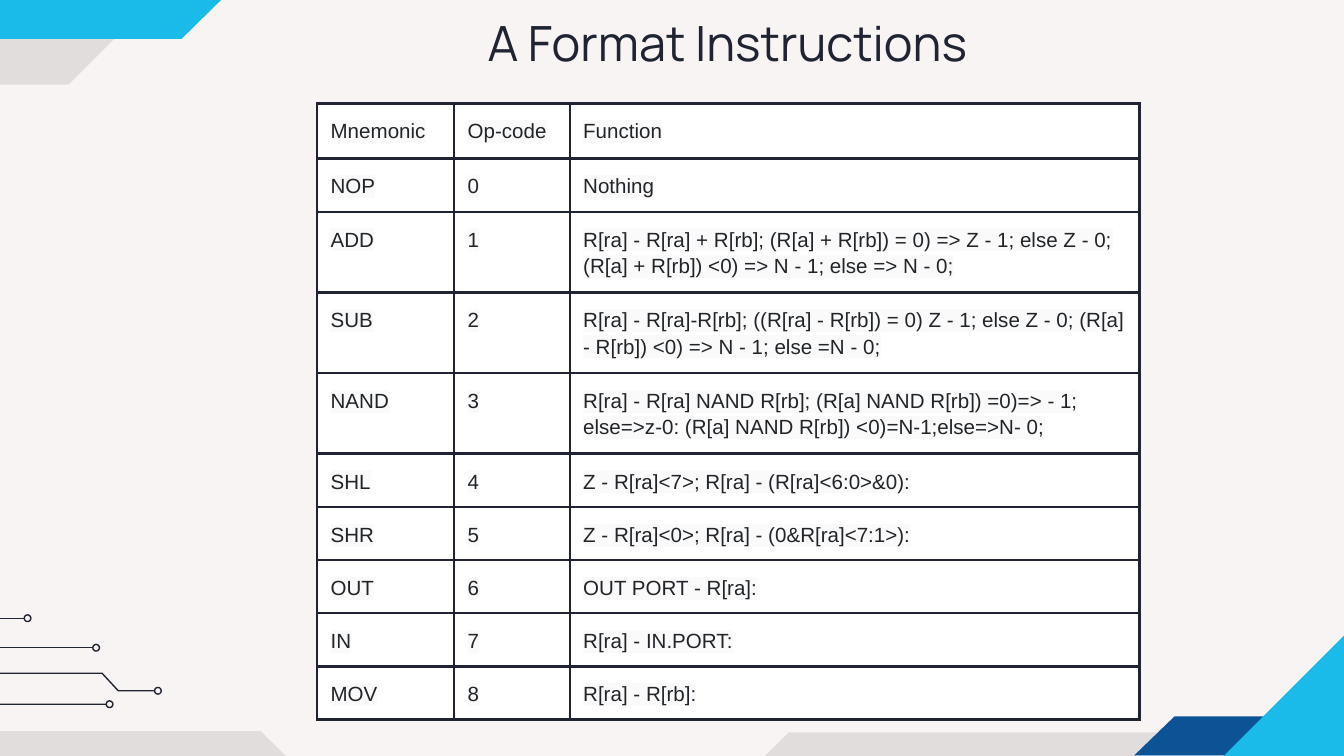
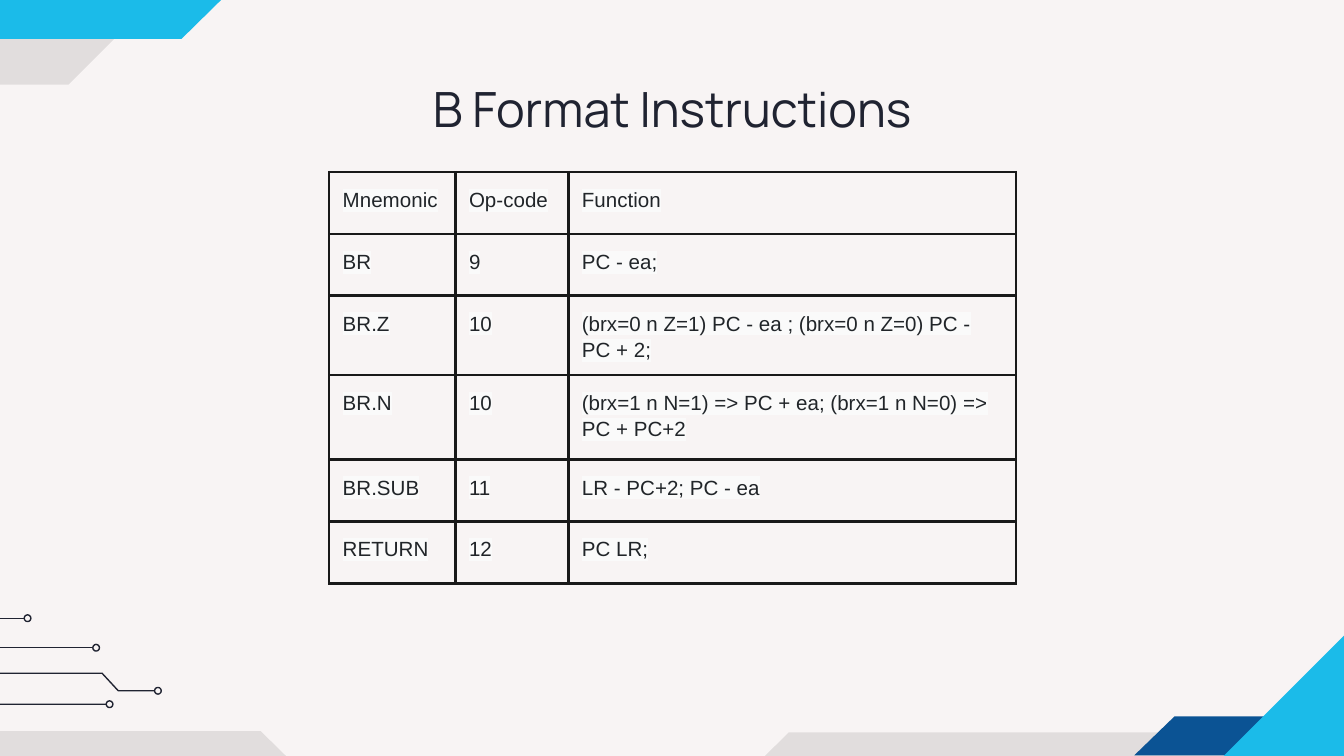
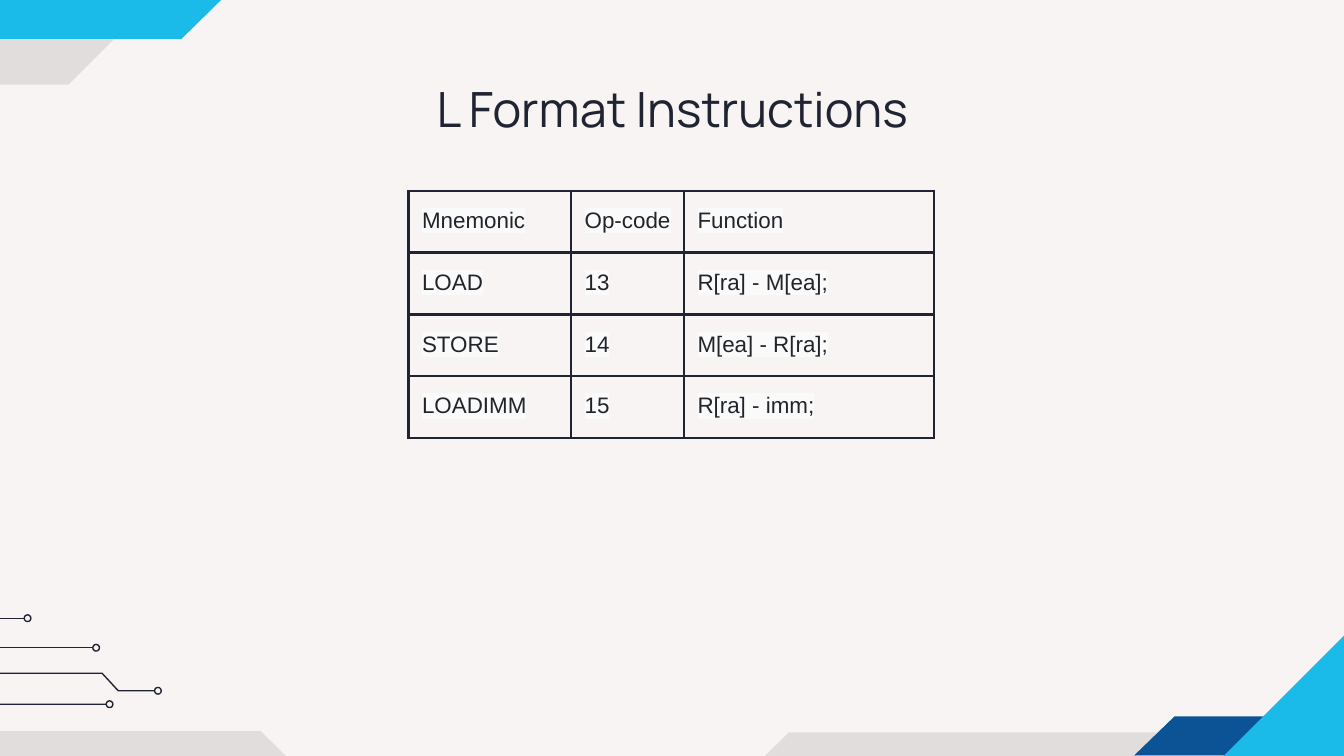
from dataclasses import dataclass
from typing import Optional

from lxml.etree import SubElement
from pptx import Presentation
from pptx.dml.color import RGBColor
from pptx.enum.shapes import MSO_CONNECTOR, MSO_SHAPE
from pptx.enum.text import MSO_ANCHOR, MSO_AUTO_SIZE, PP_ALIGN
from pptx.oxml.ns import qn
from pptx.util import Inches, Pt

# Grid: 100 columns by 56.25 rows, with square cells
SLIDE_WIDTH, SLIDE_HEIGHT = Inches(10), Inches(5.625)
COLUMN = SLIDE_WIDTH / 100
ROW = SLIDE_HEIGHT / 56.25

# Colours and fonts
PAPER = RGBColor(0xF8, 0xF4, 0xF4)
INK = RGBColor(0x20, 0x23, 0x31)
BLACK = RGBColor(0x00, 0x00, 0x00)
NEAR_BLACK = RGBColor(0x19, 0x19, 0x19)
CELL_TEXT = RGBColor(0x21, 0x25, 0x29)
HIGHLIGHT = RGBColor(0xFA, 0xFA, 0xFA)
WHITE = RGBColor(0xFF, 0xFF, 0xFF)
SKY = RGBColor(0x1B, 0xBB, 0xE9)
NAVY = RGBColor(0x0B, 0x53, 0x94)
TITLE_FONT, TABLE_FONT = "Manrope", "Arial"

Points = list[tuple[float, float]]


@dataclass(frozen=True)
class Band:
    points: Points
    color: RGBColor
    opacity: int = 100


@dataclass(frozen=True)
class InstructionPage:
    title: str
    title_left: float
    title_top: float
    table_left: float
    table_top: float
    columns: list[float]
    rows: list[float]
    instructions: list[tuple[str, str, str]]
    border: RGBColor = INK
    cell_fill: RGBColor = HIGHLIGHT
    cell_opacity: int = 0
    text_size: int = 11


# Shared decoration, in columns and rows
GREY_BANDS = [
    Band([(5.1, 6.3), (16.3, -4.9), (19.6, -4.9), (19.6, -10.6),
          (-11.1, -10.6), (-11.1, 6.3)], BLACK, 9),
    Band([(19.4, 54.4), (30.7, 65.5), (47.5, 65.5), (58.7, 54.5), (100, 54.5),
          (100, 75), (-2.3, 75), (-2.3, 54.4)], BLACK, 9),
]
COLOR_BANDS = [
    Band([(84.4, 56.2), (87.4, 53.3), (100, 53.3), (97, 56.2)], NAVY),
    Band([(-29.4, 5.9), (-29.4, -27.1), (26.5, -27.1), (26.5, -2.9), (19.4, -2.9),
          (13.5, 2.9), (-2.9, 2.9), (-6, 5.9)], SKY),
    Band([(100.9, 46.4), (89.7, 57.6), (86.4, 57.6), (86.4, 63.2),
          (117.1, 63.2), (117.1, 46.4)], SKY),
]
CIRCUIT_TRACES: list[Points] = [
    [(-25.2, 53.3), (-6.9, 53.3), (-6, 52.4), (7.9, 52.4)],
    [(-9.8, 48.2), (6.9, 48.2)],
    [(-5.1, 50.1), (7.6, 50.1), (8.8, 51.4), (11.5, 51.4)],
    [(-30.6, 46), (1.8, 46)],
]
NODE_SIZE = 0.5

TITLE_WIDTH, TITLE_HEIGHT = 84.3, 6.3
HEADINGS = ("Mnemonic", "Op-code", "Function")

PAGES = [
    InstructionPage(
        "A Format Instructions", 12, 0, 23.6, 7.7, [10.2, 8.6, 42.4],
        [4.1, 3.9] + [6] * 3 + [3.9] * 5,
        [
            ("NOP", "0", "Nothing"),
            ("ADD", "1", "R[ra] - R[ra] + R[rb]; (R[a] + R[rb]) = 0) => Z - 1; else Z - 0; "
                         "(R[a] + R[rb]) <0) => N - 1; else => N - 0;"),
            ("SUB", "2", "R[ra] - R[ra]-R[rb]; ((R[ra] - R[rb]) = 0) Z - 1; else Z - 0; "
                         "(R[a] - R[rb]) <0) => N - 1; else =N - 0;"),
            ("NAND", "3", "R[ra] - R[ra] NAND R[rb]; (R[a] NAND R[rb]) =0)=> - 1; "
                          "else=>z-0: (R[a] NAND R[rb]) <0)=N-1;else=>N- 0;"),
            ("SHL", "4", "Z - R[ra]<7>; R[ra] - (R[ra]<6:0>&0):"),
            ("SHR", "5", "Z - R[ra]<0>; R[ra] - (0&R[ra]<7:1>):"),
            ("OUT", "6", "OUT PORT - R[ra]:"),
            ("IN", "7", "R[ra] - IN.PORT:"),
            ("MOV", "8", "R[ra] - R[rb]:"),
        ],
        cell_fill=WHITE, cell_opacity=100,
    ),
    InstructionPage(
        "B Format Instructions", 7.9, 4.9, 24.5, 12.8, [9.4, 8.4, 33.3],
        [4.6] * 3 + [6.3] + [4.6] * 2,
        [
            ("BR", "9", "PC - ea;"),
            ("BR.Z", "10", "(brx=0 n Z=1) PC - ea ; (brx=0 n Z=0) PC - PC + 2;"),
            ("BR.N", "10", "(brx=1 n N=1) => PC + ea; (brx=1 n N=0) => PC + PC+2"),
            ("BR.SUB", "11", "LR - PC+2; PC - ea"),
            ("RETURN", "12", "PC LR;"),
        ],
        border=NEAR_BLACK,
    ),
    InstructionPage(
        "L Format Instructions", 7.9, 4.9, 30.4, 14.2, [12.1, 8.4, 18.6], [4.6] * 4,
        [
            ("LOAD", "13", "R[ra] - M[ea];"),
            ("STORE", "14", "M[ea] - R[ra];"),
            ("LOADIMM", "15", "R[ra] - imm;"),
        ],
        text_size=12,
    ),
]


def across(columns: float) -> int:
    return round(columns * COLUMN)


def down(rows: float) -> int:
    return round(rows * ROW)


def set_opacity(properties, percent: int) -> None:
    """Make the solid fill held by these properties see-through."""
    if percent < 100:
        color = properties.find(qn("a:solidFill")).find(qn("a:srgbClr"))
        SubElement(color, qn("a:alpha"), val=str(percent * 1000))


def draw_outline(page, points: Points, closed: bool):
    corners = [(across(x), down(y)) for x, y in points]
    builder = page.shapes.build_freeform(*corners[0], scale=1.0)
    builder.add_line_segments(corners[1:], close=closed)
    shape = builder.convert_to_shape()
    shape.shadow.inherit = False
    return shape


def draw_band(page, band: Band) -> None:
    shape = draw_outline(page, band.points, closed=True)
    shape.fill.solid()
    shape.fill.fore_color.rgb = band.color
    set_opacity(shape.element.spPr, band.opacity)
    shape.line.fill.background()


def style_line(line) -> None:
    line.color.rgb = INK
    line.width = Pt(0.75)


def draw_trace(page, points: Points) -> None:
    """Draw a circuit trace that ends in a small ring."""
    end_x, end_y = points[-1]
    if len(points) == 2:
        start_x, start_y = points[0]
        trace = page.shapes.add_connector(
            MSO_CONNECTOR.STRAIGHT, across(start_x), down(start_y), across(end_x), down(end_y))
        style_line(trace.line)
        SubElement(trace.element.spPr, qn("a:effectLst"))
    else:
        trace = draw_outline(page, points, closed=False)
        trace.fill.background()
        style_line(trace.line)
    node = page.shapes.add_shape(
        MSO_SHAPE.OVAL, across(end_x), down(end_y - NODE_SIZE / 2),
        across(NODE_SIZE), down(NODE_SIZE))
    node.shadow.inherit = False
    node.fill.background()
    style_line(node.line)


def decorate_layout(layout, page) -> None:
    """Draw the decoration on a page, then hand it to the layout all pages share."""
    layout.background.fill.solid()
    layout.background.fill.fore_color.rgb = PAPER
    for holder in list(layout.placeholders):
        if holder.placeholder_format.idx != 0:
            layout.shapes.element.remove(holder.element)
    for band in GREY_BANDS:
        draw_band(page, band)
    for points in CIRCUIT_TRACES:
        draw_trace(page, points)
    for band in COLOR_BANDS:
        draw_band(page, band)
    for shape in list(page.shapes):
        if not shape.is_placeholder:
            layout.shapes.element.append(shape.element)


def add_span(para, text: str, font: str, size: int, color: RGBColor,
             highlight: Optional[RGBColor] = None) -> None:
    span = para.add_run()
    span.text = text
    span.font.size = Pt(size)
    span.font.color.rgb = color
    span.font.name = font
    if highlight is not None:
        properties = span._r.get_or_add_rPr()
        marker = SubElement(properties, qn("a:highlight"))
        SubElement(marker, qn("a:srgbClr"), val=str(highlight))
        properties.find(qn("a:solidFill")).addnext(marker)


def set_margins(box) -> None:
    box.margin_left = box.margin_right = across(1)
    box.margin_top = box.margin_bottom = down(1)


def fill_title(page, content: InstructionPage) -> None:
    title = page.shapes.title
    title.left, title.top = across(content.title_left), down(content.title_top)
    title.width, title.height = across(TITLE_WIDTH), down(TITLE_HEIGHT)
    frame = title.text_frame
    frame.auto_size = MSO_AUTO_SIZE.NONE
    frame.vertical_anchor = MSO_ANCHOR.MIDDLE
    set_margins(frame)
    para = frame.paragraphs[0]
    para.alignment = PP_ALIGN.CENTER
    add_span(para, content.title, TITLE_FONT, 26, INK)


def fill_cell(cell, text: str, content: InstructionPage) -> None:
    set_margins(cell)
    properties = cell._tc.get_or_add_tcPr()
    for side in ("a:lnL", "a:lnR", "a:lnT", "a:lnB"):
        border = SubElement(properties, qn(side), w=str(Pt(1.5)))
        paint = SubElement(border, qn("a:solidFill"))
        SubElement(paint, qn("a:srgbClr"), val=str(content.border))
    cell.fill.solid()
    cell.fill.fore_color.rgb = content.cell_fill
    set_opacity(properties, content.cell_opacity)
    para = cell.text_frame.paragraphs[0]
    para.line_spacing = 1.15
    add_span(para, text, TABLE_FONT, content.text_size, CELL_TEXT, HIGHLIGHT)


def draw_table(page, content: InstructionPage) -> None:
    lines = [HEADINGS, *content.instructions]
    table = page.shapes.add_table(
        len(lines), len(HEADINGS), across(content.table_left), down(content.table_top),
        across(sum(content.columns)), down(sum(content.rows))).table
    table.first_row = table.horz_banding = False
    for column, width in zip(table.columns, content.columns):
        column.width = across(width)
    for row, height, texts in zip(table.rows, content.rows, lines):
        row.height = down(height)
        for cell, text in zip(row.cells, texts):
            fill_cell(cell, text, content)


def main() -> None:
    deck = Presentation()
    deck.slide_width, deck.slide_height = SLIDE_WIDTH, SLIDE_HEIGHT
    layout = deck.slide_layouts.get_by_name("Title Only")
    pages = [deck.slides.add_slide(layout) for _ in PAGES]
    decorate_layout(layout, pages[0])
    for page, content in zip(pages, PAGES):
        fill_title(page, content)
        draw_table(page, content)
    deck.save("out.pptx")


if __name__ == "__main__":
    main()
